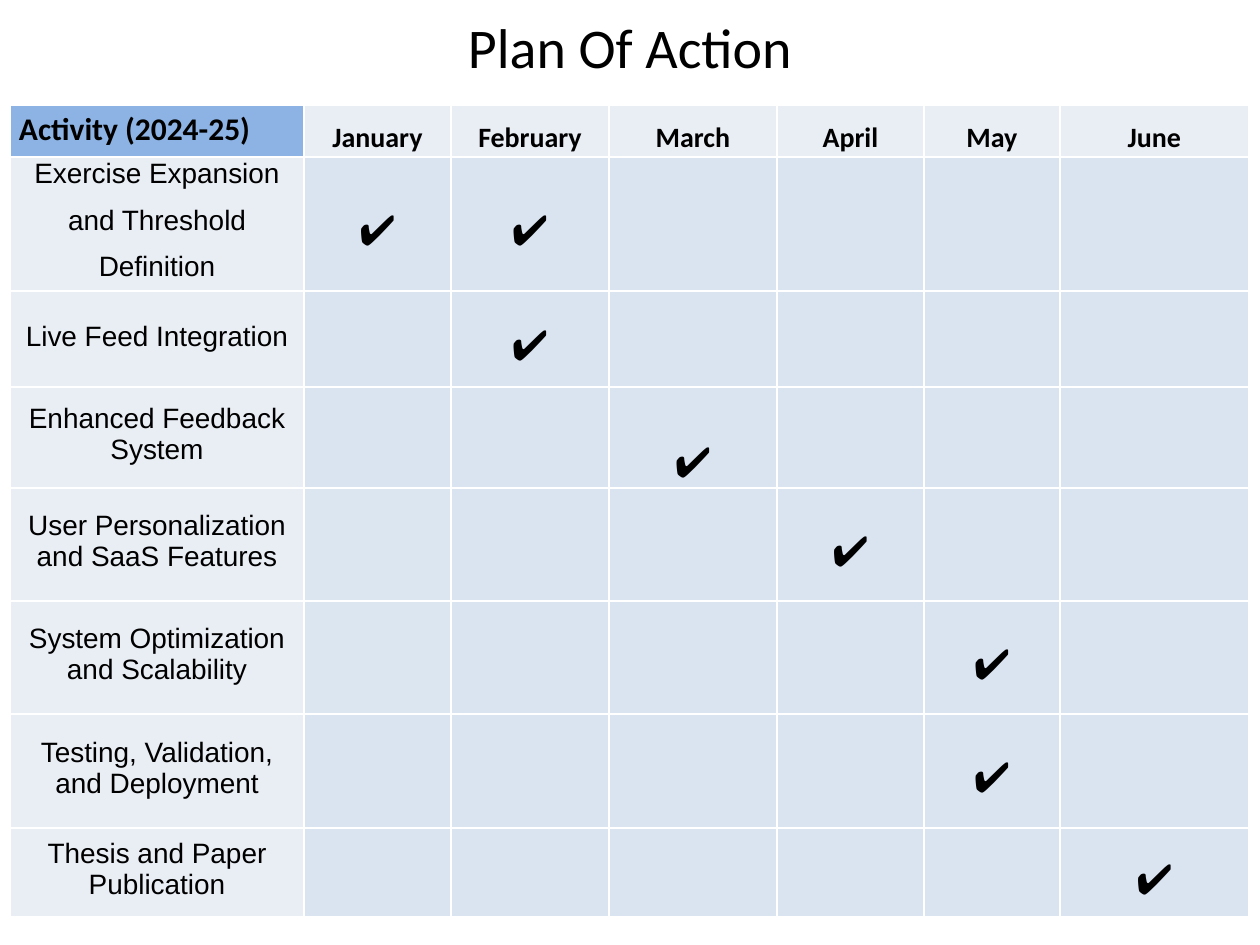
"""Build the Plan Of Action slide: a monthly schedule of project activities."""
from dataclasses import dataclass

from lxml import etree
from pptx import Presentation
from pptx.dml.color import RGBColor
from pptx.enum.text import MSO_ANCHOR, MSO_AUTO_SIZE, PP_ALIGN
from pptx.oxml.ns import qn
from pptx.util import Emu, Pt

LEFT, CENTER = PP_ALIGN.LEFT, PP_ALIGN.CENTER
TOP = MSO_ANCHOR.TOP
FIT_SHAPE = MSO_AUTO_SIZE.SHAPE_TO_FIT_TEXT
PX_PER_INCH = 126
TITLE_ONLY = 5

HEADING = "Activity (2024-25)"
MONTHS = ["January", "February", "March", "April", "May", "June"]
COLUMN_WIDTHS = [294, 147, 158, 168, 147, 136, 189]
HEADER_HEIGHT = 52
LIGHTER_ROWS = (4, 5)


@dataclass(frozen=True)
class Activity:
    """One schedule row: its lines, months, height and top insets in px."""
    lines: tuple
    months: tuple
    height: int
    text_top: int
    check_top: int


ACTIVITIES = [
    Activity(("Exercise Expansion", "and Threshold Definition"),
             ("January", "February"), 134, 0, 40),
    Activity(("Live Feed Integration",), ("February",), 96, 30, 21),
    Activity(("Enhanced Feedback System",), ("March",), 101, 16, 42),
    Activity(("User Personalization and SaaS Features",), ("April",), 113, 22, 30),
    Activity(("System Optimization and Scalability",), ("May",), 113, 22, 30),
    Activity(("Testing, Validation, and Deployment",), ("May",), 114, 23, 30),
    Activity(("Thesis and Paper Publication",), ("June",), 89, 10, 18),
]


@dataclass(frozen=True)
class TextStyle:
    """Font, size and weight of one kind of text."""
    font: str
    size: int
    bold: bool = False


@dataclass(frozen=True)
class Theme:
    """Colours and text styles of the slide."""
    ink: str = "000000"
    border: str = "FFFFFF"
    heading_fill: str = "8CB3E3"
    label_fill: str = "E9EDF4"
    month_fill: str = "DAE4F1"
    lighter_fill: str = "DCE6F1"
    title: TextStyle = TextStyle("Calibri", 32)
    heading: TextStyle = TextStyle("Calibri", 18, True)
    month: TextStyle = TextStyle("Calibri", 16, True)
    activity: TextStyle = TextStyle("Arial", 16)
    check: TextStyle = TextStyle("Noto Sans CJK SC", 24)


def px(length):
    """Turn whole px into EMU."""
    return Emu(round(length * 914400 / PX_PER_INCH))


class SlideBuilder:
    """Holds the theme and the current slide."""

    def __init__(self, presentation, theme):
        """Add a slide that has only a title."""
        self.theme = theme
        self.slide = presentation.slides.add_slide(
            presentation.slide_layouts[TITLE_ONLY])

    def style(self, paragraph, style, align):
        """Give a paragraph its font and alignment."""
        paragraph.alignment = align
        font = paragraph.font
        font.name, font.size, font.bold = style.font, Pt(style.size), style.bold
        font.color.rgb = RGBColor.from_string(self.theme.ink)

    def title(self, text, left, top, width, height):
        """Move and fill the title placeholder."""
        shape = self.slide.shapes.title
        shape.left, shape.top = px(left), px(top)
        shape.width, shape.height = px(width), px(height)
        frame = shape.text_frame
        frame.text = text
        frame.word_wrap = True
        frame.auto_size = FIT_SHAPE
        frame.vertical_anchor = TOP
        frame.margin_left = px(2)
        frame.margin_top = px(1)
        frame.margin_right = frame.margin_bottom = 0
        self.style(frame.paragraphs[0], self.theme.title, LEFT)

    def table(self, left, top, widths, heights):
        """Add a plain table with the given column widths and row heights."""
        table = self.slide.shapes.add_table(
            len(heights), len(widths), px(left), px(top),
            px(sum(widths)), px(sum(heights))).table
        table.first_row = table.horz_banding = False
        for column, width in zip(table.columns, widths):
            column.width = px(width)
        for row, height in zip(table.rows, heights):
            row.height = px(height)
        return table

    def cell(self, cell, fill):
        """Give a cell its fill and white borders."""
        properties = cell._tc.get_or_add_tcPr()
        for side in ("a:lnL", "a:lnR", "a:lnT", "a:lnB"):
            line = etree.SubElement(properties, qn(side), w=str(Pt(1)))
            solid = etree.SubElement(line, qn("a:solidFill"))
            etree.SubElement(solid, qn("a:srgbClr"), val=self.theme.border)
        cell.fill.solid()
        cell.fill.fore_color.rgb = RGBColor.from_string(fill)

    def cell_text(self, cell, lines, style, top, align=CENTER, side=0):
        """Write lines into a cell below a top inset."""
        cell.margin_left = cell.margin_right = px(side)
        cell.margin_top, cell.margin_bottom = px(top), 0
        cell.text = "\n".join(lines)
        for paragraph in cell.text_frame.paragraphs:
            self.style(paragraph, style, align)
        return cell.text_frame.paragraphs

    def schedule(self, left, top):
        """Draw the activities against the months."""
        theme = self.theme
        heights = [HEADER_HEIGHT] + [activity.height for activity in ACTIVITIES]
        table = self.table(left, top, COLUMN_WIDTHS, heights)
        self.cell(table.cell(0, 0), theme.heading_fill)
        self.cell_text(table.cell(0, 0), [HEADING], theme.heading, 6, LEFT, 9)
        for column, month in enumerate(MONTHS, 1):
            cell = table.cell(0, column)
            self.cell(cell, theme.label_fill)
            paragraphs = self.cell_text(cell, [month], theme.month, 17)
            paragraphs[0].line_spacing = Pt(18.9)
        for row, activity in enumerate(ACTIVITIES, 1):
            label = table.cell(row, 0)
            self.cell(label, theme.label_fill)
            paragraphs = self.cell_text(
                label, activity.lines, theme.activity, activity.text_top, side=13)
            if len(paragraphs) > 1:
                paragraphs[0].line_spacing = Pt(18.6)
                paragraphs[1].line_spacing = 1.5
            for column, month in enumerate(MONTHS, 1):
                cell = table.cell(row, column)
                lighter = column == 1 and row in LIGHTER_ROWS
                self.cell(cell, theme.lighter_fill if lighter else theme.month_fill)
                if month in activity.months:
                    self.cell_text(cell, ["✔"], theme.check, activity.check_top)


def main():
    """Build and save the presentation."""
    presentation = Presentation()
    presentation.slide_width, presentation.slide_height = px(1260), px(945)
    builder = SlideBuilder(presentation, Theme())
    builder.title("Plan Of Action", 466, 11, 328, 71)
    builder.schedule(10, 105)
    presentation.save("out.pptx")


if __name__ == "__main__":
    main()
